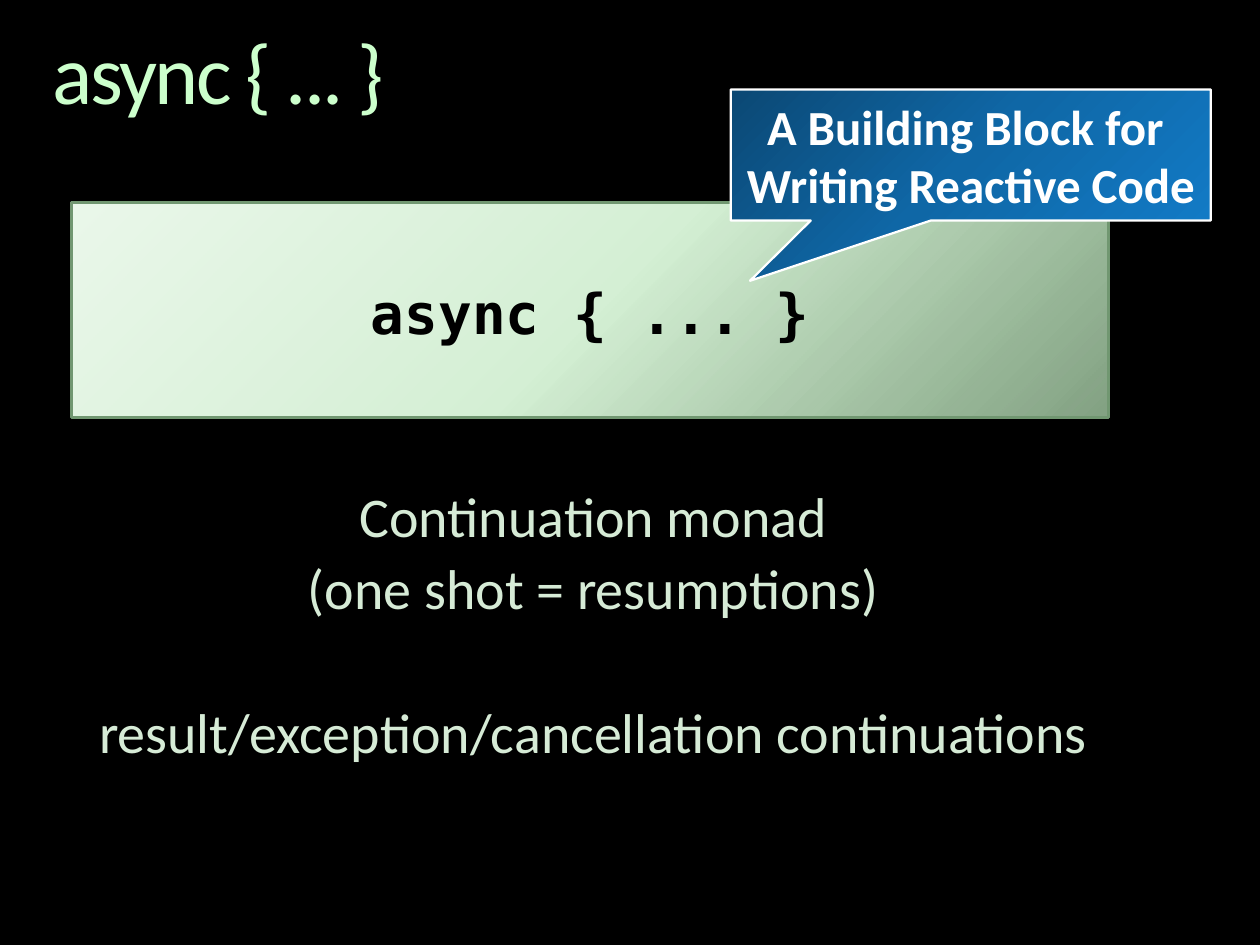
from copy import deepcopy
from dataclasses import dataclass

from lxml.etree import SubElement
from pptx import Presentation
from pptx.dml.color import RGBColor
from pptx.enum.shapes import MSO_SHAPE as Preset
from pptx.enum.text import MSO_ANCHOR as Anchor
from pptx.enum.text import MSO_AUTO_SIZE as AutoSize
from pptx.enum.text import PP_ALIGN as Align
from pptx.oxml.ns import qn
from pptx.util import Inches, Pt


@dataclass(frozen=True)
class Theme:
    background: str = "000000"
    title: str = "CCFFCC"
    body: str = "D6EBD6"
    code: str = "000000"
    code_fill: tuple = ("BBE7BB", "D4EFD4", "EAF7EA")
    code_line: str = "719771"
    callout: str = "FFFFFF"
    callout_fill: tuple = ("0B4874", "0F67A6", "127AC5")
    sans: str = "Calibri"
    mono: str = "DejaVu Sans Mono"
    title_size: int = 48
    text_size: int = 32
    callout_size: int = 28


@dataclass(frozen=True)
class Place:
    left: float
    top: float
    width: float
    height: float


@dataclass(frozen=True)
class Panel:
    preset: Preset
    place: Place
    colors: tuple
    angle: int
    line: str
    line_width: float
    lines: tuple
    text: dict
    frame: dict
    adjustments: tuple = ()
    first_alpha: int = 100


THEME = Theme()
WIDTH, HEIGHT = Inches(10), Inches(7.5)
PANELS = (
    Panel(
        Preset.RECTANGLE, Place(5.7, 21.47, 82.3, 22.67),
        THEME.code_fill, 135, THEME.code_line, 1.75,
        ("async { ... }",),
        dict(name=THEME.mono, size=Pt(THEME.text_size), bold=True, color=THEME.code),
        dict(word_wrap=True, margin_top=Inches(0.08), margin_bottom=Inches(0.04)),
        first_alpha=69,
    ),
    Panel(
        Preset.RECTANGULAR_CALLOUT, Place(58, 9.47, 38.1, 13.87),
        THEME.callout_fill, 315, THEME.callout, 1.25,
        ("A Building Block for ", "Writing Reactive Code"),
        dict(name=THEME.sans, size=Pt(THEME.callout_size), bold=True, color=THEME.callout),
        dict(word_wrap=False),
        adjustments=(-0.46, 0.96),
    ),
)


def apply(target, values: dict) -> None:
    for name, value in values.items():
        if name == "color":
            target.color.rgb = RGBColor.from_string(value)
        else:
            setattr(target, name, value)


def bounds(place: Place) -> dict:
    return dict(
        left=int(WIDTH * place.left / 100),
        top=int(HEIGHT * place.top / 100),
        width=int(WIDTH * place.width / 100),
        height=int(HEIGHT * place.height / 100),
    )


def write(frame, lines: tuple, font: dict, layout: dict) -> None:
    frame.text = "\n".join(lines)
    for para in frame.paragraphs:
        apply(para, layout)
        for span in para.runs:
            apply(span.font, font)


def fill_gradient(shape, panel: Panel) -> None:
    shape.fill.gradient()
    stop_list = shape.fill._fill._gradFill.gsLst
    stop_list.insert(1, deepcopy(stop_list[0]))
    stops = list(shape.fill.gradient_stops)
    for index, (stop, color) in enumerate(zip(stops, panel.colors)):
        stop.position = index / (len(stops) - 1)
        stop.color.rgb = RGBColor.from_string(color)
    shape.fill.gradient_angle = panel.angle
    if panel.first_alpha < 100:
        SubElement(stop_list[0][0], qn("a:alpha"), val=str(panel.first_alpha * 1000))


def add_panel(page, panel: Panel) -> None:
    shape = page.shapes.add_shape(panel.preset, **bounds(panel.place))
    shape.shadow.inherit = False
    for index, value in enumerate(panel.adjustments):
        shape.adjustments[index] = value
    fill_gradient(shape, panel)
    apply(shape.line, dict(color=panel.line, width=Pt(panel.line_width)))
    apply(shape.text_frame, dict(vertical_anchor=Anchor.MIDDLE, **panel.frame))
    write(shape.text_frame, panel.lines, panel.text, dict(alignment=Align.CENTER))


def set_title(page) -> None:
    title = page.shapes.title
    apply(title, bounds(Place(4.2, 3.33, 91.7, 9.73)))
    frame = title.text_frame
    margins = dict.fromkeys(("margin_left", "margin_top", "margin_right", "margin_bottom"), 0)
    apply(frame, dict(vertical_anchor=Anchor.TOP, auto_size=AutoSize.NONE, **margins))
    font = dict(name=THEME.sans, size=Pt(THEME.title_size), color=THEME.title)
    write(frame, ("async { ... }",), font, dict(alignment=Align.LEFT, line_spacing=0.9))
    frame.paragraphs[0].runs[0]._r.get_or_add_rPr().set("spc", "-150")


def set_body(page) -> None:
    body = page.placeholders[1]
    apply(body, bounds(Place(3.1, 51.07, 88, 38.27)))
    frame = body.text_frame
    apply(frame, dict(vertical_anchor=Anchor.TOP, auto_size=AutoSize.NONE))
    lines = (
        "Continuation monad",
        "(one shot = resumptions)",
        "result/exception/cancellation continuations",
    )
    font = dict(name=THEME.sans, size=Pt(THEME.text_size), color=THEME.body)
    write(frame, lines, font, dict(alignment=Align.CENTER, line_spacing=0.9))
    for para, gap in zip(frame.paragraphs, (0, 6.4, 48)):
        para.space_before = Pt(gap)
        properties = para._p.get_or_add_pPr()
        properties.set("marL", str(Inches(0.43)))
        properties.set("indent", str(-Inches(0.43)))
        SubElement(properties, qn("a:buNone"))


def main() -> None:
    deck = Presentation()
    deck.slide_width, deck.slide_height = WIDTH, HEIGHT
    page = deck.slides.add_slide(deck.slide_layouts[1])
    page.background.fill.solid()
    page.background.fill.fore_color.rgb = RGBColor.from_string(THEME.background)
    set_title(page)
    set_body(page)
    for panel in PANELS:
        add_panel(page, panel)
    deck.save("out.pptx")


if __name__ == "__main__":
    main()
